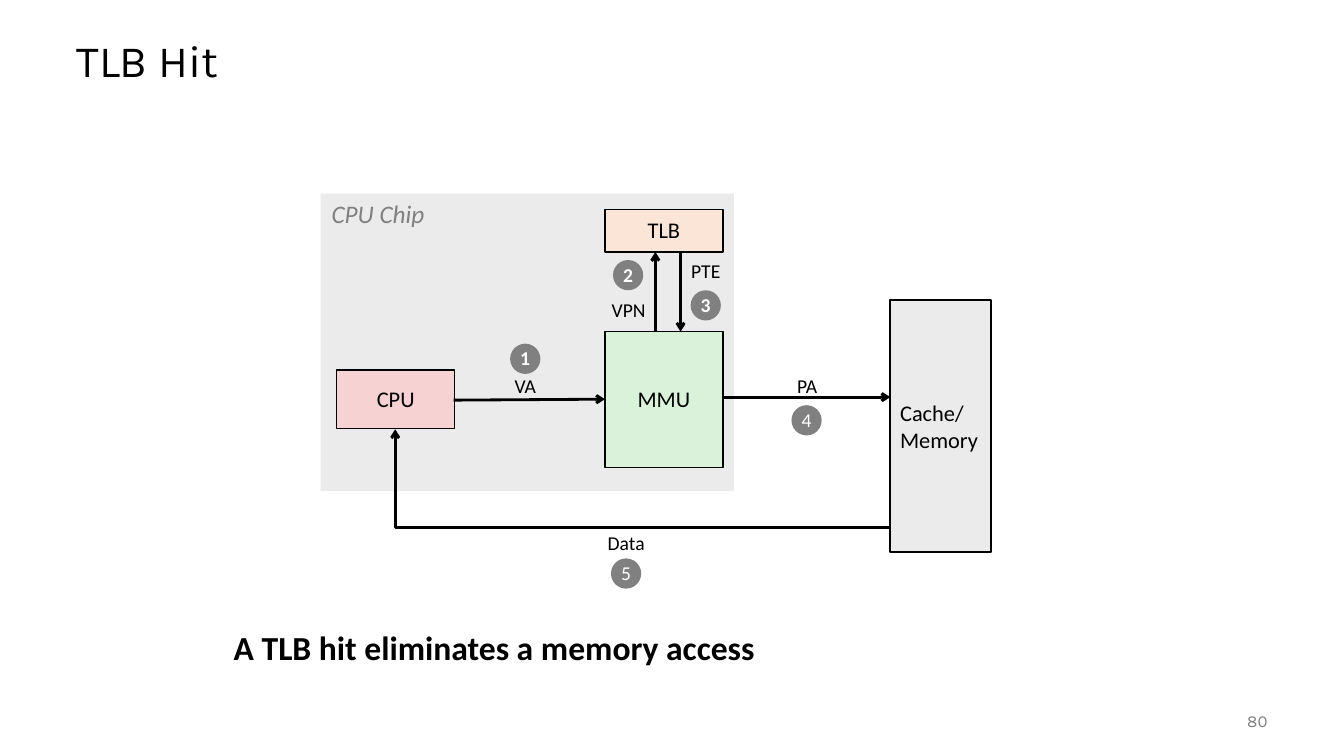
from pptx import Presentation
from pptx import util as u
from pptx.dml.color import RGBColor
from pptx.enum import shapes, text
from pptx.oxml import ns
from lxml import etree

PX = 9144  # EMU per px, 100 px to the inch

BLACK = RGBColor(0x00, 0x00, 0x00)
WHITE = RGBColor(0xFF, 0xFF, 0xFF)
GRAY = RGBColor(0x80, 0x80, 0x80)
LIGHT_GRAY = RGBColor(0xEB, 0xEB, 0xEB)
PINK = RGBColor(0xF6, 0xD2, 0xD2)
GREEN = RGBColor(0xDB, 0xF2, 0xDA)
PEACH = RGBColor(0xFB, 0xE5, 0xD6)

LEFT, CENTER, RIGHT = text.PP_ALIGN.LEFT, text.PP_ALIGN.CENTER, text.PP_ALIGN.RIGHT
RECT, OVAL = shapes.MSO_SHAPE.RECTANGLE, shapes.MSO_SHAPE.OVAL
TOP, MIDDLE = text.MSO_ANCHOR.TOP, text.MSO_ANCHOR.MIDDLE


def write(holder, lines, size, color=BLACK, align=CENTER, font="Calibri",
          bold=False, italic=False, anchor=MIDDLE, wrap=False, spacing=0.98):
    frame = holder.text_frame
    frame.auto_size = text.MSO_AUTO_SIZE.NONE
    frame.word_wrap = wrap
    frame.vertical_anchor = anchor
    for i, line in enumerate(lines.split("\n")):
        para = frame.add_paragraph() if i else frame.paragraphs[0]
        para.alignment = align
        para.line_spacing = spacing
        run = para.add_run()
        run.text = line
        run.font.name, run.font.size = font, u.Pt(size)
        run.font.bold, run.font.italic = bold, italic
        run.font.color.rgb = color


def block(kind, box, fill, outline=0):
    part = slide.shapes.add_shape(kind, *[v * PX for v in box])
    part.shadow.inherit = False
    part.fill.solid()
    part.fill.fore_color.rgb = fill
    if outline:
        part.line.color.rgb = BLACK
        part.line.width = u.Pt(outline)
    else:
        part.line.fill.background()
    return part


prs = Presentation()
prs.slide_width, prs.slide_height = 1333 * PX, 750 * PX
slide = prs.slides.add_slide(prs.slide_layouts[5])

# Title
title = slide.shapes.title
title.left, title.top, title.width, title.height = [v * PX for v in (66, 25, 1200, 75)]
write(title, "TLB Hit", 32, align=LEFT, font="Karla", wrap=True, spacing=0.9)

# Chip area and hardware units
block(RECT, (318, 192, 410, 295), LIGHT_GRAY)
units = [
    ("CPU", (334, 367, 117, 58), PINK, 1, CENTER, 0.98),
    ("MMU", (600, 329, 117, 135), GREEN, 1, CENTER, 0.98),
    ("TLB", (600, 208, 117, 42), PEACH, 1, CENTER, 0.98),
    ("Cache/\nMemory", (883, 298, 100, 250), LIGHT_GRAY, 1.5, LEFT, 1.0),
]
for name, box, fill, outline, align, spacing in units:
    write(block(RECT, box, fill, outline), name, 16, align=align, spacing=spacing)

# Arrows between the units
STRAIGHT, ELBOW = shapes.MSO_CONNECTOR.STRAIGHT, shapes.MSO_CONNECTOR.ELBOW
arrows = [
    (STRAIGHT, 450, 397, 600, 396),  # CPU to MMU
    (STRAIGHT, 650, 329, 650, 250),  # MMU to TLB
    (STRAIGHT, 675, 250, 675, 329),  # TLB to MMU
    (STRAIGHT, 717, 394, 883, 394),  # MMU to memory
    (ELBOW, 883, 523, 392, 426),     # memory to CPU
]
for kind, *ends in arrows:
    arrow = slide.shapes.add_connector(kind, *[v * PX for v in ends])
    arrow.line.color.rgb = BLACK
    arrow.line.width = u.Pt(2)
    props = arrow._element.spPr
    if kind == ELBOW:  # one bend only
        props.find(ns.qn("a:prstGeom")).set("prst", "bentConnector2")
    etree.SubElement(props.find(ns.qn("a:ln")), ns.qn("a:tailEnd"), type="arrow")
    etree.SubElement(props, ns.qn("a:effectLst"))

# Signal labels and captions: text, box, formatting
signal = dict(size=14)
captions = [
    ("VA", (500, 367, 42, 33), signal),
    ("VPN", (596, 292, 55, 33), signal),
    ("PTE", (675, 253, 50, 33), signal),
    ("PA", (780, 367, 41, 33), signal),
    ("Data", (592, 523, 58, 33), signal),
    ("CPU Chip", (319, 192, 116, 40),
     dict(size=18, color=GRAY, align=LEFT, italic=True, anchor=TOP, spacing=1.0)),
    ("A TLB hit eliminates a memory access", (222, 617, 786, 63),
     dict(size=24, align=LEFT, bold=True, anchor=TOP, wrap=True, spacing=1.0)),
    ("80", (1167, 695, 100, 40),
     dict(size=12, color=GRAY, align=RIGHT, font="Karla", wrap=True, spacing=1.0)),
]
for caption, box, style in captions:
    write(slide.shapes.add_textbox(*[v * PX for v in box]), caption, **style)

# Numbered steps
steps = [(506, 341), (608, 258), (685, 288), (785, 402), (606, 554)]
for number, (left, top) in enumerate(steps, 1):
    badge = block(OVAL, (left, top, 30, 30), GRAY)
    write(badge, str(number), 14, color=WHITE, bold=number <= 3)

prs.save("out.pptx")
